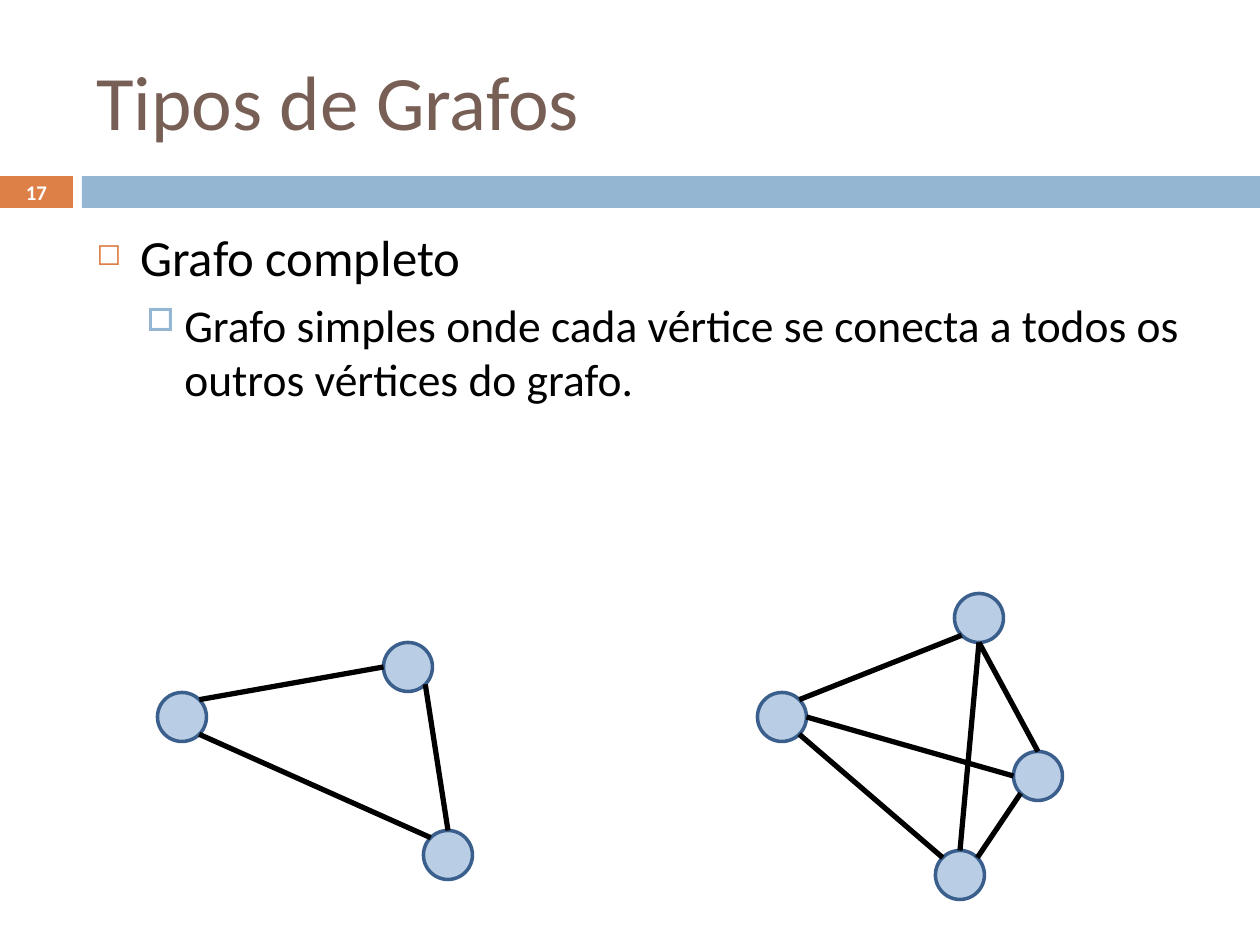
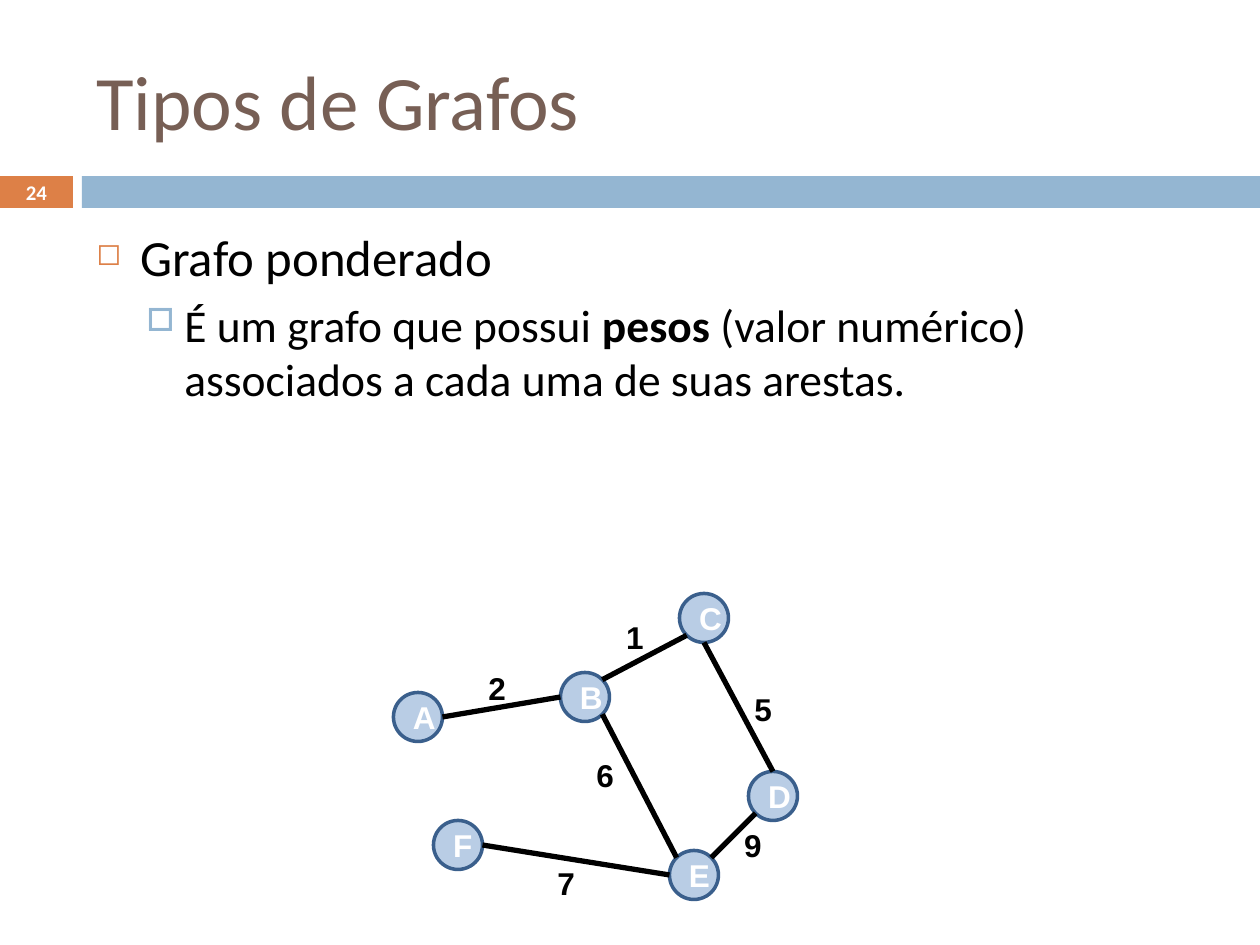
from lxml.etree import SubElement
from pptx import Presentation
from pptx.dml.color import RGBColor
from pptx.enum.shapes import MSO_CONNECTOR as Connector, MSO_SHAPE as Shape
from pptx.enum.text import MSO_ANCHOR as Anchor, MSO_AUTO_SIZE as AutoSize, PP_ALIGN as Align
from pptx.oxml.ns import qn
from pptx.util import Pt

EMU_PER_PX = 914400 / 126
SLIDE_WIDTH, SLIDE_HEIGHT = 1260, 945

BLACK = RGBColor(0x00, 0x00, 0x00)
WHITE = RGBColor(0xFF, 0xFF, 0xFF)
BROWN = RGBColor(0x77, 0x5F, 0x55)
ORANGE = RGBColor(0xDD, 0x80, 0x47)
BLUE = RGBColor(0x94, 0xB6, 0xD2)
NODE_FILL = RGBColor(0xB9, 0xCD, 0xE5)
NODE_LINE = RGBColor(0x3A, 0x5F, 0x8C)

TEXT_FONT = "Calibri"
GRAPH_FONT = "Arial"
NODE_SIZE = 49
DIAGONAL = 0.5 ** 0.5
SIDES = {
    "top": (0, -1), "bottom": (0, 1), "left": (-1, 0), "right": (1, 0),
    "top left": (-DIAGONAL, -DIAGONAL), "top right": (DIAGONAL, -DIAGONAL),
    "bottom left": (-DIAGONAL, DIAGONAL), "bottom right": (DIAGONAL, DIAGONAL),
}

# For each outline level: text size, space before, left margin, indent, then the bullet
LEVELS = [
    dict(size=29, before=0, margin=44, indent=-44, bullet="◻", color=ORANGE, percent=60),
    dict(size=26, before=5.5, margin=88, indent=-38, bullet="□", color=BLUE, percent=70),
]


def emu(px):
    return round(px * EMU_PER_PX)


def write(para, text, size=18, font=TEXT_FONT, color=BLACK, bold=False, align=None):
    """Append a formatted span to a paragraph."""
    span = para.add_run()
    span.text = text
    span.font.size = Pt(size)
    span.font.name = font
    span.font.color.rgb = color
    span.font.bold = bold
    if align is not None:
        para.alignment = align


def set_bullet(para, level):
    properties = para._p.get_or_add_pPr()
    properties.set("marL", str(emu(level["margin"])))
    properties.set("indent", str(emu(level["indent"])))
    color = SubElement(properties, qn("a:buClr"))
    SubElement(color, qn("a:srgbClr"), val=str(level["color"]))
    SubElement(properties, qn("a:buSzPct"), val=str(level["percent"] * 1000))
    SubElement(properties, qn("a:buChar"), char=level["bullet"])


class GraphDeck:
    def __init__(self):
        self.deck = Presentation()
        self.deck.slide_width = emu(SLIDE_WIDTH)
        self.deck.slide_height = emu(SLIDE_HEIGHT)
        self.slide = None

    def start_slide(self, title, number):
        """Add a slide with its bands, title and number."""
        self.slide = self.deck.slides.add_slide(self.deck.slide_layouts[6])
        self.shape(Shape.RECTANGLE, 0, 176, 73, 32, ORANGE)
        self.shape(Shape.RECTANGLE, 82, 176, SLIDE_WIDTH - 82, 32, BLUE)
        self.text(title, 84, 32, 1124, 136, anchor=Anchor.MIDDLE, size=44, color=BROWN)
        self.text(str(number), 0, 175, 73, 34, anchor=Anchor.MIDDLE, size=11.9,
                  color=WHITE, bold=True, align=Align.CENTER)

    def shape(self, kind, left, top, width, height, fill):
        shape = self.slide.shapes.add_shape(kind, *map(emu, (left, top, width, height)))
        shape.shadow.inherit = False
        shape.fill.solid()
        shape.fill.fore_color.rgb = fill
        shape.line.fill.background()
        return shape

    def box(self, left, top, width, height, anchor=Anchor.TOP):
        box = self.slide.shapes.add_textbox(*map(emu, (left, top, width, height)))
        box.text_frame.word_wrap = True
        box.text_frame.vertical_anchor = anchor
        return box.text_frame

    def text(self, text, left, top, width, height, anchor=Anchor.TOP, **style):
        frame = self.box(left, top, width, height, anchor)
        write(frame.paragraphs[0], text, **style)
        return frame

    def outline(self, *items):
        """Write bulleted items, one level deeper each; an item lists (text, bold) spans."""
        frame = self.box(84, 220, 1124, 620)
        for index, (level, spans) in enumerate(zip(LEVELS, items)):
            para = frame.add_paragraph() if index else frame.paragraphs[0]
            para.level = index
            set_bullet(para, level)
            para.space_before = Pt(level["before"])
            for text, bold in spans:
                write(para, text, size=level["size"], bold=bold)

    def node(self, x, y, label=None):
        """Draw a vertex centred on (x, y)."""
        radius = NODE_SIZE / 2
        node = self.shape(Shape.OVAL, x - radius, y - radius, NODE_SIZE, NODE_SIZE, NODE_FILL)
        node.line.color.rgb = NODE_LINE
        node.line.width = Pt(2)
        if label:
            node.text_frame.vertical_anchor = Anchor.MIDDLE
            write(node.text_frame.paragraphs[0], label, font=GRAPH_FONT, color=WHITE,
                  bold=True, align=Align.CENTER)

    def edge(self, start, start_side, end, end_side):
        """Join two vertex centres from rim to rim."""
        points = []
        for center, side in ((start, start_side), (end, end_side)):
            points += [emu(c + d * NODE_SIZE / 2) for c, d in zip(center, SIDES[side])]
        line = self.slide.shapes.add_connector(Connector.STRAIGHT, *points)
        line.line.color.rgb = BLACK
        line.line.width = Pt(3)
        SubElement(line._element.spPr, qn("a:effectLst"))

    def graph(self, nodes, edges, labelled=False):
        for name, center in nodes.items():
            self.node(*center, label=name if labelled else None)
        for start, start_side, end, end_side in edges:
            self.edge(nodes[start], start_side, nodes[end], end_side)

    def weight(self, value, left, top):
        frame = self.text(str(value), left, top, 168, 50, font=GRAPH_FONT,
                          bold=True, align=Align.CENTER)
        frame.auto_size = AutoSize.SHAPE_TO_FIT_TEXT


def add_complete_graphs(graphs):
    graphs.start_slide("Tipos de Grafos", 17)
    graphs.outline(
        [("Grafo completo", False)],
        [("Grafo simples onde cada vértice se conecta a todos os outros vértices do grafo.",
          False)],
    )
    triangle = {"west": (182, 717), "north": (408, 667), "south": (448, 855)}
    graphs.graph(triangle, [
        ("north", "left", "west", "top right"),
        ("west", "bottom right", "south", "top left"),
        ("north", "bottom right", "south", "top"),
    ])
    four = {"west": (782, 717), "north": (979, 618), "east": (1038, 776), "south": (960, 875)}
    graphs.graph(four, [
        ("north", "bottom", "east", "top"),
        ("south", "top right", "east", "bottom left"),
        ("north", "bottom left", "west", "top right"),
        ("west", "bottom right", "south", "top left"),
        ("west", "right", "east", "left"),
        ("north", "bottom", "south", "top"),
    ])


def add_weighted_graph(graphs):
    graphs.start_slide("Tipos de Grafos", 24)
    graphs.outline(
        [("Grafo ponderado", False)],
        [("É um grafo que possui ", False), ("pesos", True),
         (" (valor numérico) associados a cada uma de suas arestas.", False)],
    )
    nodes = {"A": (418, 717), "B": (585, 697), "C": (704, 618),
             "D": (773, 796), "E": (694, 875), "F": (458, 845)}
    graphs.graph(nodes, [
        ("C", "bottom", "D", "top"),
        ("A", "right", "B", "left"),
        ("E", "top right", "D", "bottom left"),
        ("C", "bottom left", "B", "top right"),
        ("B", "bottom right", "E", "top left"),
        ("F", "right", "E", "left"),
    ], labelled=True)
    for value, left, top in [(2, 413, 663), (1, 551, 612), (7, 482, 858),
                             (6, 521, 750), (9, 669, 820), (5, 679, 684)]:
        graphs.weight(value, left, top)


def main():
    graphs = GraphDeck()
    add_complete_graphs(graphs)
    add_weighted_graph(graphs)
    graphs.deck.save("out.pptx")


if __name__ == "__main__":
    main()
